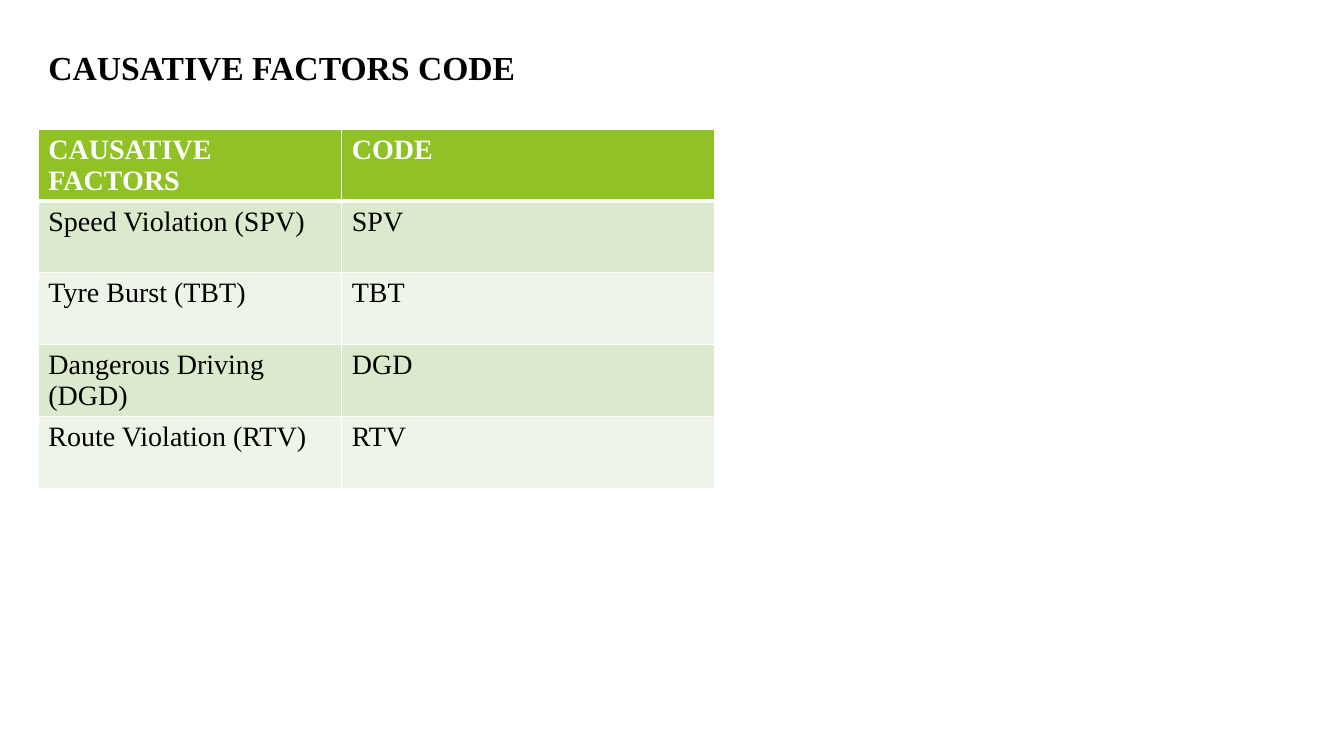
from lxml import etree
from pptx import Presentation
from pptx.dml.color import RGBColor
from pptx.enum.text import MSO_ANCHOR, MSO_AUTO_SIZE, PP_ALIGN
from pptx.oxml.ns import qn
from pptx.util import Inches, Pt

FONT = "Times New Roman"
COLORS = {
    "text": "000000",
    "white": "FFFFFF",
    "header": "90C226",
    "odd_row": "DBE9CD",
    "even_row": "EEF4E8",
}
FACTORS = [
    ("CAUSATIVE FACTORS", "CODE"),
    ("Speed Violation (SPV)", "SPV"),
    ("Tyre Burst (TBT)", "TBT"),
    ("Dangerous Driving (DGD)", "DGD"),
    ("Route Violation (RTV)", "RTV"),
]
COLUMN_WIDTHS = (3.01, 3.7)
ROW_HEIGHT = 0.71


def style_paragraph(para, size, color, bold):
    para.font.name = FONT
    para.font.size = Pt(size)
    para.font.bold = bold
    para.font.color.rgb = RGBColor.from_string(COLORS[color])


def set_title(slide, text):
    title = slide.shapes.title
    title.left, title.top = Inches(0.38), Inches(0.42)
    title.width, title.height = Inches(12.51), Inches(0.6)
    frame = title.text_frame
    frame.text = text
    frame.word_wrap = True
    frame.auto_size = MSO_AUTO_SIZE.NONE
    frame.vertical_anchor = MSO_ANCHOR.TOP
    para = frame.paragraphs[0]
    para.alignment = PP_ALIGN.LEFT
    style_paragraph(para, 24, "text", True)


def set_borders(cell, widths):
    """Draw white borders; widths maps each side (L, R, T, B) to points."""
    properties = cell._tc.get_or_add_tcPr()
    # Border elements come before the fill, in this order
    for index, side in enumerate("LRTB"):
        line = etree.Element(qn(f"a:ln{side}"), w=str(Pt(widths[side])))
        fill = etree.SubElement(line, qn("a:solidFill"))
        etree.SubElement(fill, qn("a:srgbClr"), val=COLORS["white"])
        properties.insert(index, line)


def style_cell(cell, text, row):
    is_header = row == 0
    cell.text = text
    style_paragraph(cell.text_frame.paragraphs[0], 20,
                    "white" if is_header else "text", is_header)
    band = "header" if is_header else "odd_row" if row % 2 else "even_row"
    cell.fill.solid()
    cell.fill.fore_color.rgb = RGBColor.from_string(COLORS[band])
    # A thicker rule separates the header from the first row
    set_borders(cell, {"L": 1, "R": 1,
                       "T": 3 if row == 1 else 1,
                       "B": 3 if is_header else 1})


def add_factor_table(slide, rows):
    table = slide.shapes.add_table(
        len(rows), len(COLUMN_WIDTHS), Inches(0.38), Inches(1.28),
        Inches(sum(COLUMN_WIDTHS)), Inches(ROW_HEIGHT * len(rows))).table
    for column, width in zip(table.columns, COLUMN_WIDTHS):
        column.width = Inches(width)
    for row, texts in enumerate(rows):
        table.rows[row].height = Inches(ROW_HEIGHT)
        for column, text in enumerate(texts):
            style_cell(table.cell(row, column), text, row)


def main():
    deck = Presentation()
    deck.slide_width, deck.slide_height = Inches(13.33), Inches(7.5)
    # Layout 5 is "Title Only"
    slide = deck.slides.add_slide(deck.slide_layouts[5])

    # Heading
    set_title(slide, "CAUSATIVE FACTORS CODE")

    # Factors and their codes
    add_factor_table(slide, FACTORS)

    deck.save("out.pptx")


if __name__ == "__main__":
    main()
